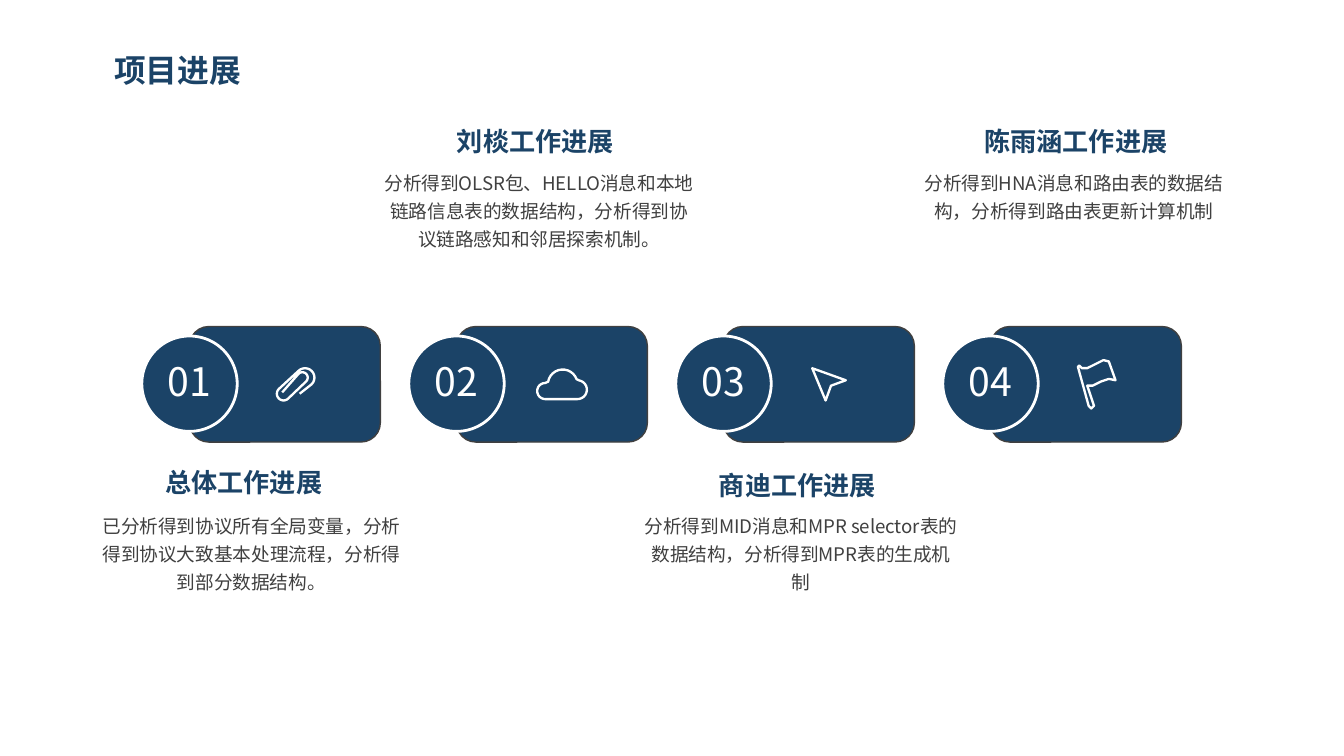
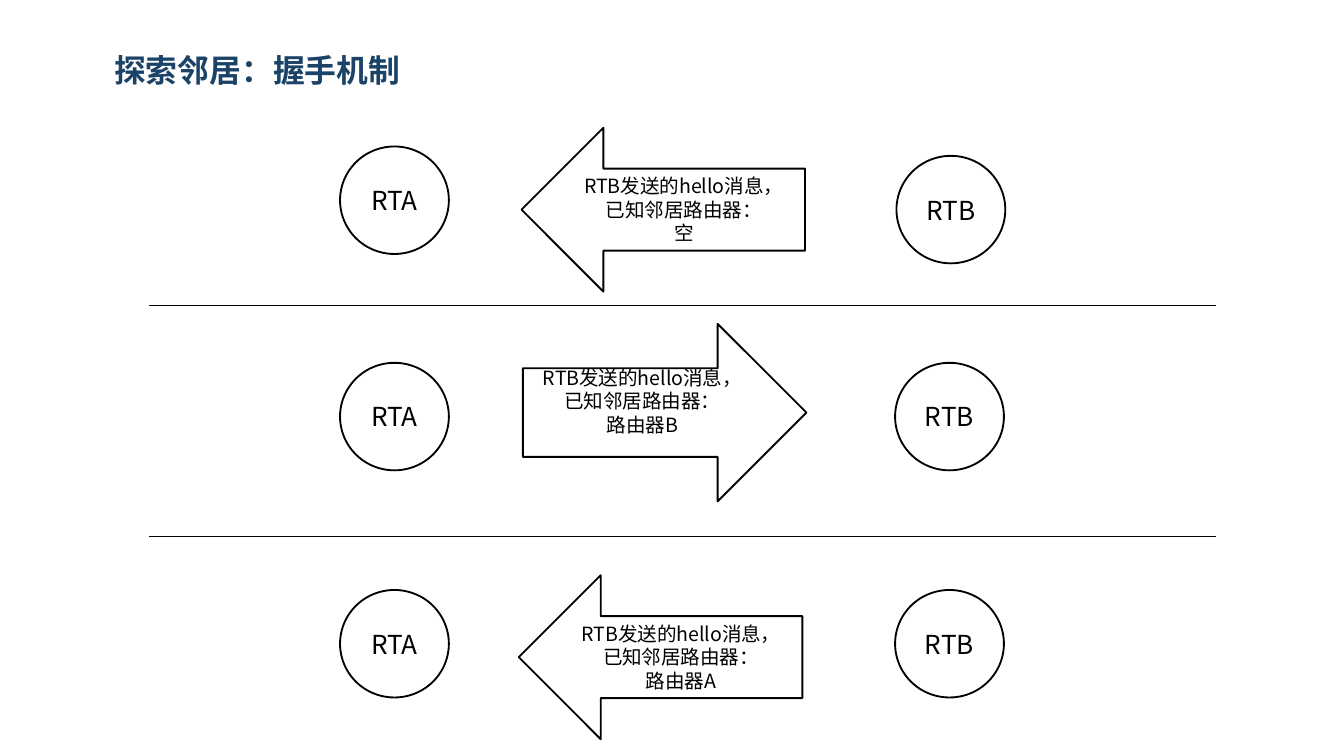
import math
from dataclasses import dataclass

from lxml import etree
from pptx import Presentation
from pptx import util as u
from pptx.dml.color import RGBColor
from pptx.enum import shapes, text
from pptx.oxml.ns import qn


@dataclass(frozen=True)
class Theme:
    font: str = "Noto Sans CJK SC"
    navy: RGBColor = RGBColor(0x1B, 0x43, 0x67)
    gray: RGBColor = RGBColor(0x40, 0x40, 0x40)
    white: RGBColor = RGBColor(0xFF, 0xFF, 0xFF)
    black: RGBColor = RGBColor(0, 0, 0)
    title: float = 17
    number: float = 21
    heading: float = 14
    message: float = 10.5
    body: float = 10


theme = Theme()
SHAPE = shapes.MSO_SHAPE


def write(shape, lines, size, color, bold=False, align=text.PP_ALIGN.CENTER):
    """Fill a shape with one paragraph per line and return its text frame."""
    frame = shape.text_frame
    frame.word_wrap = True
    frame.text = "\n".join(lines)
    for paragraph in frame.paragraphs:
        paragraph.alignment = align
        font = paragraph.font
        font.name, font.size, font.bold = theme.font, u.Pt(size), bold
        font.color.rgb = color
        etree.SubElement(font._rPr, qn("a:ea"), typeface=theme.font)
    return frame


def arc(x, y, radius, start, end, steps=12):
    """Points along a circular arc; angles in degrees, clockwise from the right."""
    angles = [math.radians(start + (end - start) * i / steps) for i in range(steps + 1)]
    return [(x + radius * math.cos(a), y + radius * math.sin(a)) for a in angles]


presentation = Presentation()
presentation.slide_width = u.Inches(10)
presentation.slide_height = u.Inches(10 * 9 / 16)

# Slides and titles
slides = []
for title in ("项目进展", "探索邻居：握手机制"):
    slide = presentation.slides.add_slide(presentation.slide_layouts[6])
    box = slide.shapes.add_textbox(u.Inches(0.78), u.Inches(0.34), u.Inches(2.47), u.Inches(0.36))
    frame = write(box, [title], theme.title, theme.navy, True, text.PP_ALIGN.LEFT)
    frame.margin_left = frame.margin_right = u.Inches(0.07)
    frame.margin_top = frame.margin_bottom = u.Inches(0.04)
    frame.auto_size = text.MSO_AUTO_SIZE.SHAPE_TO_FIT_TEXT
    slides.append(slide)
progress_slide, handshake_slide = slides

# Icon outlines, measured from the top left corner of each card: points, closed
paperclip = [(0.82, 0.5), *arc(0.86, 0.38, 0.07, 45, -135), *arc(0.7, 0.5, 0.05, 225, 45),
             *arc(0.84, 0.38, 0.04, 45, -135), (0.69, 0.49)]
cloud = [*arc(0.66, 0.48, 0.06, 90, 270), *arc(0.79, 0.43, 0.11, 190, 340),
         *arc(0.9, 0.47, 0.07, 280, 450)]
pointer = [(0.66, 0.31), (0.76, 0.55), (0.8, 0.44), (0.91, 0.4)]
flag = [(0.65, 0.3), (0.73, 0.59), (0.75, 0.61), (0.77, 0.59), (0.72, 0.44), (0.76, 0.44),
        (0.82, 0.41), (0.88, 0.39), (0.93, 0.4), (0.88, 0.26), (0.84, 0.25), (0.78, 0.28),
        (0.72, 0.31), (0.68, 0.31), (0.66, 0.29)]
icons = [(paperclip, False), (cloud, True), (pointer, True), (flag, True)]

# Numbered cards, spread evenly from the first to the last
first_left, last_left, card_top = 1.41, 7.37, 2.43
card_step = (last_left - first_left) / (len(icons) - 1)
circle_size = 0.71
for i, (points, closed) in enumerate(icons):
    left = first_left + i * card_step
    badge = progress_slide.shapes.add_group_shape()
    card = badge.shapes.add_shape(SHAPE.ROUNDED_RECTANGLE, u.Inches(left), u.Inches(card_top),
                                  u.Inches(1.42), u.Inches(0.86))
    circle = badge.shapes.add_shape(SHAPE.OVAL, u.Inches(left - circle_size / 2), u.Inches(2.5),
                                    u.Inches(circle_size), u.Inches(circle_size))
    for shape, line, width in ((card, theme.gray, 0.75), (circle, theme.white, 1.5)):
        shape.shadow.inherit = False
        shape.fill.solid()
        shape.fill.fore_color.rgb = theme.navy
        shape.line.color.rgb = line
        shape.line.width = u.Pt(width)
    frame = write(circle, [f"{i + 1:02}"], theme.number, theme.white)
    frame.vertical_anchor = text.MSO_ANCHOR.MIDDLE
    frame.margin_left = frame.margin_right = frame.margin_top = frame.margin_bottom = 0
    frame.paragraphs[0].line_spacing = 0.9

    outline = [(u.Inches(left + x), u.Inches(card_top + y)) for x, y in points]
    builder = badge.shapes.build_freeform(*outline[0])
    builder.add_line_segments(outline[1:], close=closed)
    icon = builder.convert_to_shape()
    icon.shadow.inherit = False
    icon.fill.background()
    icon.line.color.rgb = theme.white
    icon.line.width = u.Pt(1.25)

# Progress notes: heading, its left, top and width; body, its left, top and height
notes = [
    ("总体工作进展", 1.15, 3.43, 1.33,
     "已分析得到协议所有全局变量，分析得到协议大致基本处理流程，分析得到部分数据结构。", 0.63, 3.75, 0.71),
    ("刘棪工作进展", 3.32, 0.89, 1.33,
     "分析得到OLSR包、HELLO消息和本地链路信息表的数据结构，分析得到协议链路感知和邻居探索机制。",
     2.77, 1.2, 0.71),
    ("商迪工作进展", 5.27, 3.45, 1.33,
     "分析得到MID消息和MPR selector表的数据结构，分析得到MPR表的生成机制", 4.72, 3.75, 0.71),
    ("陈雨涵工作进展", 7.24, 0.89, 1.53,
     "分析得到HNA消息和路由表的数据结构，分析得到路由表更新计算机制", 6.75, 1.2, 0.5),
]
for heading, head_left, head_top, head_width, body, body_left, body_top, body_height in notes:
    head_box = progress_slide.shapes.add_textbox(
        u.Inches(head_left), u.Inches(head_top), u.Inches(head_width), u.Inches(0.31))
    body_box = progress_slide.shapes.add_textbox(
        u.Inches(body_left), u.Inches(body_top), u.Inches(2.48), u.Inches(body_height))
    head_frame = write(head_box, [heading], theme.heading, theme.navy, True)
    head_frame.word_wrap = False
    body_frame = write(body_box, [body], theme.body, theme.gray)
    body_frame.paragraphs[0].line_spacing = u.Pt(15)
    for frame in (head_frame, body_frame):
        frame.margin_left = frame.margin_right = u.Inches(0.07)
        frame.margin_top = frame.margin_bottom = u.Inches(0.04)
        frame.auto_size = text.MSO_AUTO_SIZE.SHAPE_TO_FIT_TEXT

# Handshake steps: router A top, router B left and top,
# arrow kind, left, top and height, known neighbour, bottom margin of the arrow text
steps = [
    (1.09, 6.67, 1.16, SHAPE.LEFT_ARROW, 3.88, 0.95, 1.22, "空", 0.05),
    (2.7, 6.66, 2.7, SHAPE.RIGHT_ARROW, 3.89, 2.41, 1.32, "路由器B", 0.22),
    (4.39, 6.66, 4.39, SHAPE.LEFT_ARROW, 3.86, 4.28, 1.22, "路由器A", 0.05),
]
for a_top, b_left, b_top, arrow, left, top, height, neighbour, margin in steps:
    message = ["RTB发送的hello消息，已知邻居路由器：", neighbour]
    parts = [
        (SHAPE.OVAL, 2.53, a_top, 0.81, 0.8, ["RTA"], theme.heading, 0.05),
        (SHAPE.OVAL, b_left, b_top, 0.81, 0.8, ["RTB"], theme.heading, 0.05),
        (arrow, left, top, 2.11, height, message, theme.message, margin),
    ]
    for kind, x, y, width, tall, lines, size, bottom in parts:
        shape = handshake_slide.shapes.add_shape(
            kind, u.Inches(x), u.Inches(y), u.Inches(width), u.Inches(tall))
        shape.shadow.inherit = False
        shape.fill.solid()
        shape.fill.fore_color.rgb = theme.white
        shape.line.color.rgb = theme.black
        shape.line.width = u.Pt(1)
        frame = write(shape, lines, size, theme.black)
        frame.vertical_anchor = text.MSO_ANCHOR.MIDDLE
        frame.margin_bottom = u.Inches(bottom)

# Dividers between the steps
for y in (2.27, 3.99):
    divider = handshake_slide.shapes.add_connector(
        shapes.MSO_CONNECTOR.STRAIGHT, u.Inches(1.11), u.Inches(y), u.Inches(9.05), u.Inches(y))
    divider.line.color.rgb = theme.black
    divider.line.width = u.Pt(0.5)
    etree.SubElement(divider._element.spPr, qn("a:effectLst"))

presentation.save("out.pptx")
